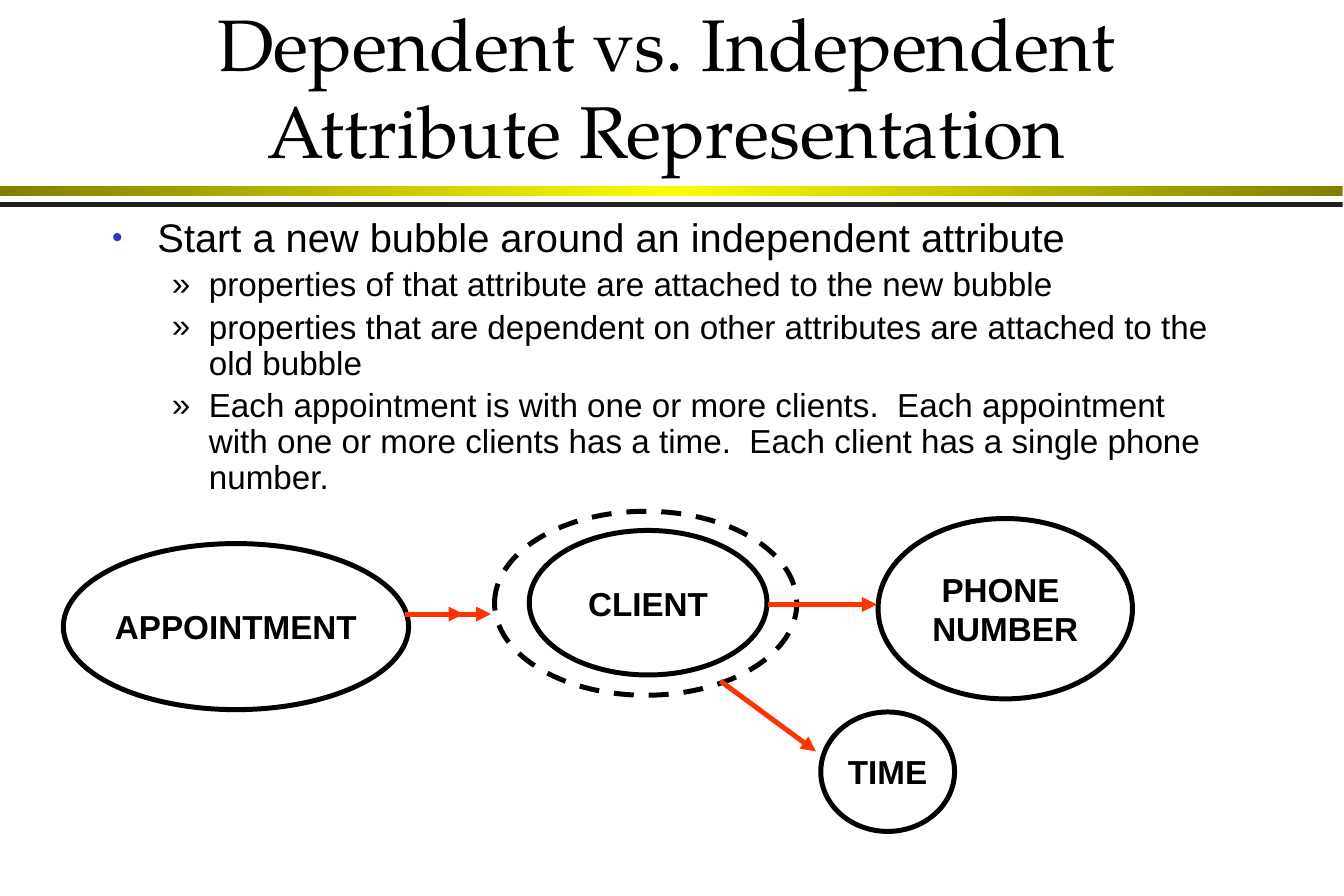
"""Build the slide on dependent and independent attribute representation."""
from copy import deepcopy
from dataclasses import dataclass

from lxml import etree
from pptx import Presentation
from pptx.dml.color import RGBColor
from pptx.enum.dml import MSO_LINE
from pptx.enum.shapes import MSO_CONNECTOR, MSO_SHAPE
from pptx.enum.text import MSO_ANCHOR, MSO_AUTO_SIZE, PP_ALIGN
from pptx.oxml.ns import qn
from pptx.util import Inches, Pt

RECT, OVAL = MSO_SHAPE.RECTANGLE, MSO_SHAPE.OVAL
STRAIGHT, DASH = MSO_CONNECTOR.STRAIGHT, MSO_LINE.DASH
CENTER, MIDDLE, BOTTOM = PP_ALIGN.CENTER, MSO_ANCHOR.MIDDLE, MSO_ANCHOR.BOTTOM
NO_FIT = MSO_AUTO_SIZE.NONE

BLACK = RGBColor(0x00, 0x00, 0x00)
RED = RGBColor(0xFF, 0x33, 0x00)
BLUE = RGBColor(0x33, 0x33, 0xCC)
OLIVE = RGBColor(0x80, 0x80, 0x00)
YELLOW = RGBColor(0xFA, 0xFD, 0x00)
DARK = RGBColor(0x1E, 0x1E, 0x1E)
CHARCOAL = RGBColor(0x23, 0x23, 0x23)
TITLE_FONT, BODY_FONT = "TeX Gyre Pagella", "Arial"
LINE_WIDTH = Pt(3)


@dataclass
class Bar:
    top: float
    height: float
    edge: RGBColor
    middle: RGBColor


@dataclass
class Bubble:
    left: float
    top: float
    width: float
    height: float
    text: str = ""
    dashed: bool = False


@dataclass
class Arrow:
    x1: float
    y1: float
    x2: float
    y2: float


@dataclass
class Level:
    margin: float
    hanging: float
    size: float
    bullet: str
    color: RGBColor
    bullet_pct: int


MAIN = Level(0.38, 0.38, 24, "•", BLUE, 75)
SUB = Level(0.81, 0.31, 20, "»", BLACK, 100)

BARS = [Bar(1.56, 0.08, OLIVE, YELLOW), Bar(1.69, 0.04, DARK, CHARCOAL)]
POINTS = [
    (MAIN, "Start a new bubble around an independent attribute"),
    (SUB, "properties of that attribute are attached to the new bubble"),
    (SUB, "properties that are dependent on other attributes are attached to the old bubble"),
    (SUB, "Each appointment is with one or more clients.  Each appointment with one or more "
          "clients has a time.  Each client has a single phone number."),
]
BUBBLES = [
    Bubble(4.43, 4.44, 1.99, 1.21, "CLIENT"),
    Bubble(7.35, 4.34, 2.13, 1.51, "PHONE \nNUMBER"),
    Bubble(0.53, 4.55, 2.89, 1.39, "APPOINTMENT"),
    Bubble(6.87, 5.96, 1.12, 1, "TIME"),
    Bubble(4.14, 4.28, 2.53, 1.54, dashed=True),
]
ARROWS = [
    Arrow(3.41, 5.14, 4.11, 5.14),
    Arrow(6.03, 5.7, 6.83, 6.29),
    Arrow(3.39, 5.14, 3.88, 5.14),
    Arrow(6.43, 5.06, 7.34, 5.06),
]


def style_runs(p, font: str, size: float, bold: bool = False) -> None:
    for r in p.runs:
        r.font.name, r.font.size, r.font.bold = font, Pt(size), bold
        r.font.color.rgb = BLACK


def add_bar(s, bar: Bar) -> None:
    sp = s.shapes.add_shape(RECT, 0, Inches(bar.top), Inches(11.24), Inches(bar.height))
    sp.shadow.inherit = False
    sp.line.fill.background()
    sp.fill.gradient()
    sp.fill.gradient_angle = 0
    stops = sp._element.spPr.find(qn("a:gradFill")).find(qn("a:gsLst"))
    stops.insert(1, deepcopy(stops[0]))
    colors = (bar.edge, bar.middle, bar.edge)
    for stop, position, color in zip(sp.fill.gradient_stops, (0, 0.5, 1), colors):
        stop.position = position
        stop.color.rgb = color


def set_title(s, text: str) -> None:
    sp = s.shapes.title
    sp.left, sp.top, sp.width, sp.height = (Inches(v) for v in (1.29, 0.25, 8.58, 1.25))
    tf = sp.text_frame
    tf.text = text
    tf.auto_size, tf.vertical_anchor, tf.word_wrap = NO_FIT, BOTTOM, True
    p = tf.paragraphs[0]
    p.alignment = CENTER
    style_runs(p, TITLE_FONT, 44)


def format_point(p, level: Level) -> None:
    p.line_spacing = 0.9
    p.space_before = Pt(level.size * 0.2)
    style_runs(p, BODY_FONT, level.size)
    pPr = p._p.get_or_add_pPr()
    pPr.set("marL", str(Inches(level.margin)))
    pPr.set("indent", str(-Inches(level.hanging)))
    color = etree.SubElement(pPr, qn("a:buClr"))
    etree.SubElement(color, qn("a:srgbClr"), val=str(level.color))
    etree.SubElement(pPr, qn("a:buSzPct"), val=str(level.bullet_pct * 1000))
    etree.SubElement(pPr, qn("a:buFont"), typeface=BODY_FONT)
    etree.SubElement(pPr, qn("a:buChar"), char=level.bullet)


def add_points(s) -> None:
    tf = s.shapes.add_textbox(Inches(0.84), Inches(1.78), Inches(9.56), Inches(2.48)).text_frame
    tf.word_wrap = True
    tf.text = "\n".join(text for _, text in POINTS)
    for p, (level, _) in zip(tf.paragraphs, POINTS):
        format_point(p, level)


def add_bubble(s, bubble: Bubble) -> None:
    sp = s.shapes.add_shape(OVAL, Inches(bubble.left), Inches(bubble.top),
                            Inches(bubble.width), Inches(bubble.height))
    sp.shadow.inherit = False
    sp.fill.background()
    sp.line.color.rgb, sp.line.width = BLACK, LINE_WIDTH
    if bubble.dashed:
        sp.line.dash_style = DASH
    tf = sp.text_frame
    tf.text = bubble.text
    tf.word_wrap, tf.vertical_anchor = False, MIDDLE
    for p in tf.paragraphs:
        p.alignment = CENTER
        style_runs(p, BODY_FONT, 20, True)


def add_arrow(s, arrow: Arrow) -> None:
    sp = s.shapes.add_connector(STRAIGHT, Inches(arrow.x1), Inches(arrow.y1),
                                Inches(arrow.x2), Inches(arrow.y2))
    sp.line.color.rgb, sp.line.width = RED, LINE_WIDTH
    spPr = sp._element.spPr
    etree.SubElement(spPr.find(qn("a:ln")), qn("a:tailEnd"), type="triangle")
    etree.SubElement(spPr, qn("a:effectLst"))


def main() -> None:
    prs = Presentation()
    prs.slide_width, prs.slide_height = Inches(11.25), Inches(7.5)
    s = prs.slides.add_slide(prs.slide_layouts[5])
    for bar in BARS:
        add_bar(s, bar)
    set_title(s, "Dependent vs. Independent Attribute Representation")
    add_points(s)
    for bubble in BUBBLES:
        add_bubble(s, bubble)
    for arrow in ARROWS:
        add_arrow(s, arrow)
    prs.save("out.pptx")


main()
